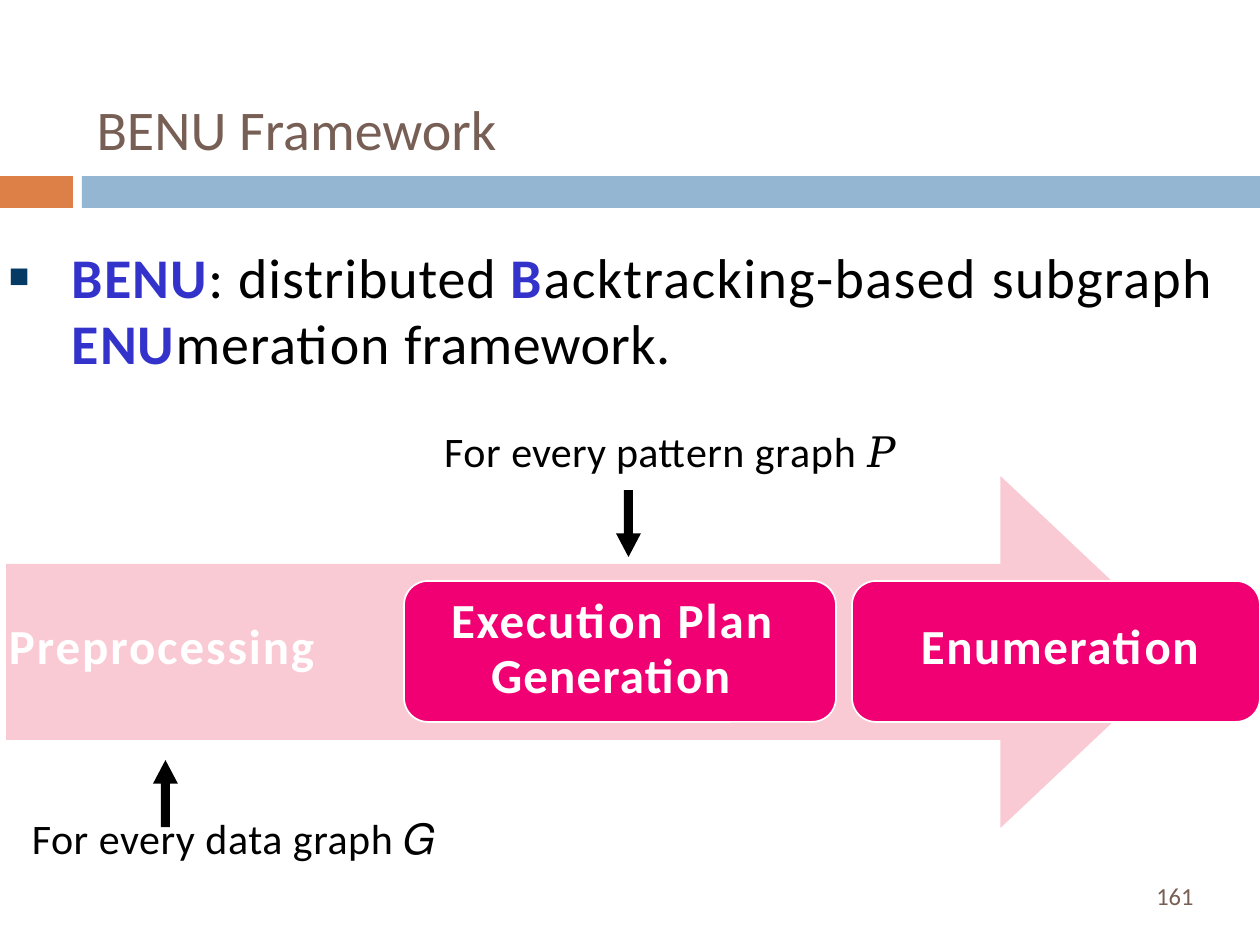
"""Build the BENU framework slide."""
import dataclasses

import lxml.etree
import pptx
import pptx.dml.color
import pptx.enum.shapes
import pptx.enum.text
import pptx.oxml.ns
import pptx.util


@dataclasses.dataclass
class Theme:
    font: str = "Calibri"
    math: str = "Cambria"
    brown: str = "775F55"
    orange: str = "DD8047"
    sky: str = "94B6D2"
    rose: str = "F9CAD4"
    pink: str = "F10073"
    blue: str = "3333CC"
    navy: str = "053A64"
    black: str = "000000"
    white: str = "FFFFFF"
    head: int = 32
    step: int = 28
    note: int = 24
    page: int = 14


look = Theme()
scale = 914400 / 126
qn = pptx.oxml.ns.qn
rgb = pptx.dml.color.RGBColor.from_string
kinds = pptx.enum.shapes.MSO_SHAPE
align = pptx.enum.text.PP_ALIGN
anchor = pptx.enum.text.MSO_ANCHOR


def px(*sizes):
    return [round(size * scale) for size in sizes]


def write(para, text, size, color, bold=False, gap=0, font=look.font):
    run = para.add_run()
    run.text = text
    run.font.name = font
    run.font.size = pptx.util.Pt(size)
    run.font.bold = bold
    run.font.color.rgb = rgb(color)
    if gap:
        run.font._element.set("spc", str(round(gap * 100)))


deck = pptx.Presentation()
deck.slide_width, deck.slide_height = px(1260, 945)
slide = deck.slides.add_slide(deck.slide_layouts[1])
title, body = slide.placeholders

title.left, title.top, title.width, title.height = px(84, 32, 1124, 136)
title.text_frame.vertical_anchor = anchor.BOTTOM
para = title.text_frame.paragraphs[0]
para.alignment = align.LEFT
write(para, "BENU Framework", look.head, look.brown)

blocks = [
    (kinds.RECTANGLE, (0, 176, 73, 32), look.orange, ()),
    (kinds.RECTANGLE, (82, 176, 1178, 32), look.sky, ()),
    (kinds.RIGHT_ARROW, (6, 476, 1181, 352), look.rose, (0.5, 0.53)),
    (kinds.ROUNDED_RECTANGLE, (404, 581, 432, 141), look.pink, (0.17,)),
    (kinds.ROUNDED_RECTANGLE, (852, 581, 408, 141), look.pink, (0.17,)),
    (kinds.UP_ARROW, (153, 760, 25, 67), look.black, (0.36, 0.95)),
    (kinds.DOWN_ARROW, (616, 490, 25, 67), look.black, (0.36, 0.95)),
]
for kind, box, fill, ratios in blocks:
    shape = slide.shapes.add_shape(kind, *px(*box))
    shape.shadow.inherit = False
    shape.fill.solid()
    shape.fill.fore_color.rgb = rgb(fill)
    for spot, ratio in enumerate(ratios):
        shape.adjustments[spot] = ratio
    if kind == kinds.ROUNDED_RECTANGLE:
        shape.line.color.rgb = rgb(look.white)
        shape.line.width = pptx.util.Pt(1)
    else:
        shape.line.fill.background()

body.left, body.top, body.width, body.height = px(8, 243, 1280, 234)
frame = body.text_frame
frame.auto_size = pptx.enum.text.MSO_AUTO_SIZE.NONE
frame.margin_left = frame.margin_right = frame.margin_bottom = 0
frame.margin_top = px(1)[0]
lines = [
    (64, -63, 0, look.head, [
        ("BENU", True, 0.6), (": ", False, 0.6), ("distributed ", False, 0.5),
        ("B", True, 0.8), ("acktracking-based ", False, 0.8),
        ("subgraph", False, 0.7)]),
    (64, 0, 0, look.head, [
        ("ENU", True, 0.5), ("meration ", False, 0.5),
        ("framework.", False, 0.2)]),
    (44, 0, 28.6, look.note, [
        ("For ", False, 0.3), ("every ", False, 0.1),
        ("pattern ", False, 0.2), ("graph ", False, 0.5),
        ("𝑃", False, 0)]),
]
for row, (left, hang, before, size, runs) in enumerate(lines):
    para = frame.paragraphs[0] if row == 0 else frame.add_paragraph()
    props = para._p.get_or_add_pPr()
    props.set("marL", str(px(left)[0]))
    props.set("indent", str(px(hang)[0]))
    if row == 0:
        tint = lxml.etree.SubElement(props, qn("a:buClr"))
        lxml.etree.SubElement(tint, qn("a:srgbClr"), val=look.navy)
        lxml.etree.SubElement(props, qn("a:buSzPct"), val="61000")
        lxml.etree.SubElement(props, qn("a:buChar"), char="■")
    else:
        lxml.etree.SubElement(props, qn("a:buNone"))
    para.space_before = pptx.util.Pt(before)
    para.line_spacing = pptx.util.Pt(37.5) if size == look.head else 1.0
    para.alignment = align.LEFT if size == look.head else align.CENTER
    for text, bold, gap in runs:
        write(para, text, size, look.blue if bold else look.black, bold, gap,
              look.math if text == "𝑃" else look.font)

steps = [
    ((8, 615, 333, 62), 1, 1, 0, None, [("Preprocessing", 1.1)]),
    ((449, 587, 346, 120), 6, 42, -40, 31.6,
     [("Execution ", 1), ("Plan ", 1.2), ("Generation", 0.7)]),
    ((920, 615, 305, 62), 1, 1, 0, None, [("Enumeration", 0.9)]),
]
for box, inset, left, hang, pitch, runs in steps:
    frame = slide.shapes.add_textbox(*px(*box)).text_frame
    frame.word_wrap = True
    frame.margin_left = frame.margin_right = frame.margin_bottom = 0
    frame.margin_top = px(inset)[0]
    para = frame.paragraphs[0]
    props = para._p.get_or_add_pPr()
    props.set("marL", str(px(left)[0]))
    props.set("indent", str(px(hang)[0]))
    if pitch:
        para.line_spacing = pptx.util.Pt(pitch)
    for text, gap in runs:
        write(para, text, look.step, look.white, True, gap)

notes = [
    ((19, 806, 430, 63), align.CENTER, "For every data graph 𝐺",
     look.note, look.black, 0.3),
    ((1106, 879, 100, 34), align.RIGHT, "161", look.page, look.brown, 0),
]
for box, side, text, size, color, gap in notes:
    frame = slide.shapes.add_textbox(*px(*box)).text_frame
    frame.word_wrap = True
    frame.vertical_anchor = anchor.MIDDLE
    para = frame.paragraphs[0]
    para.alignment = side
    write(para, text, size, color, gap=gap)

deck.save("out.pptx")
